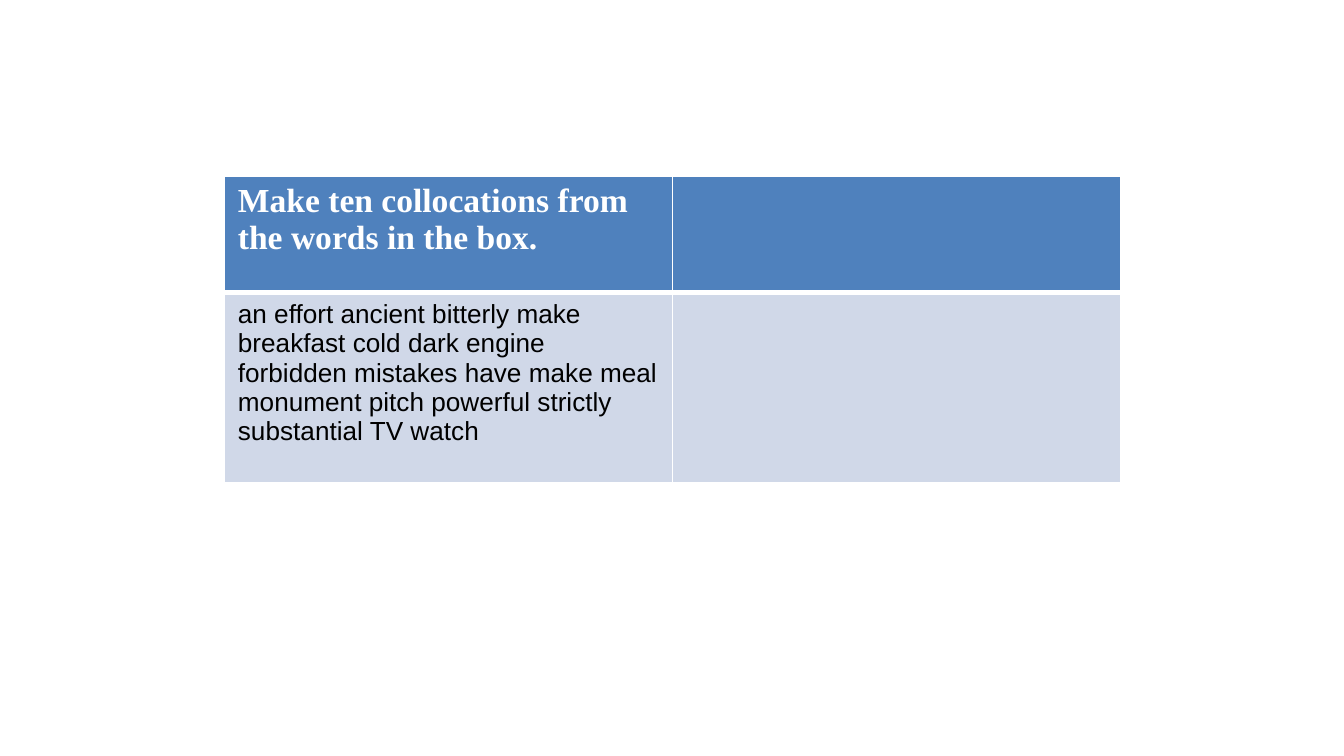
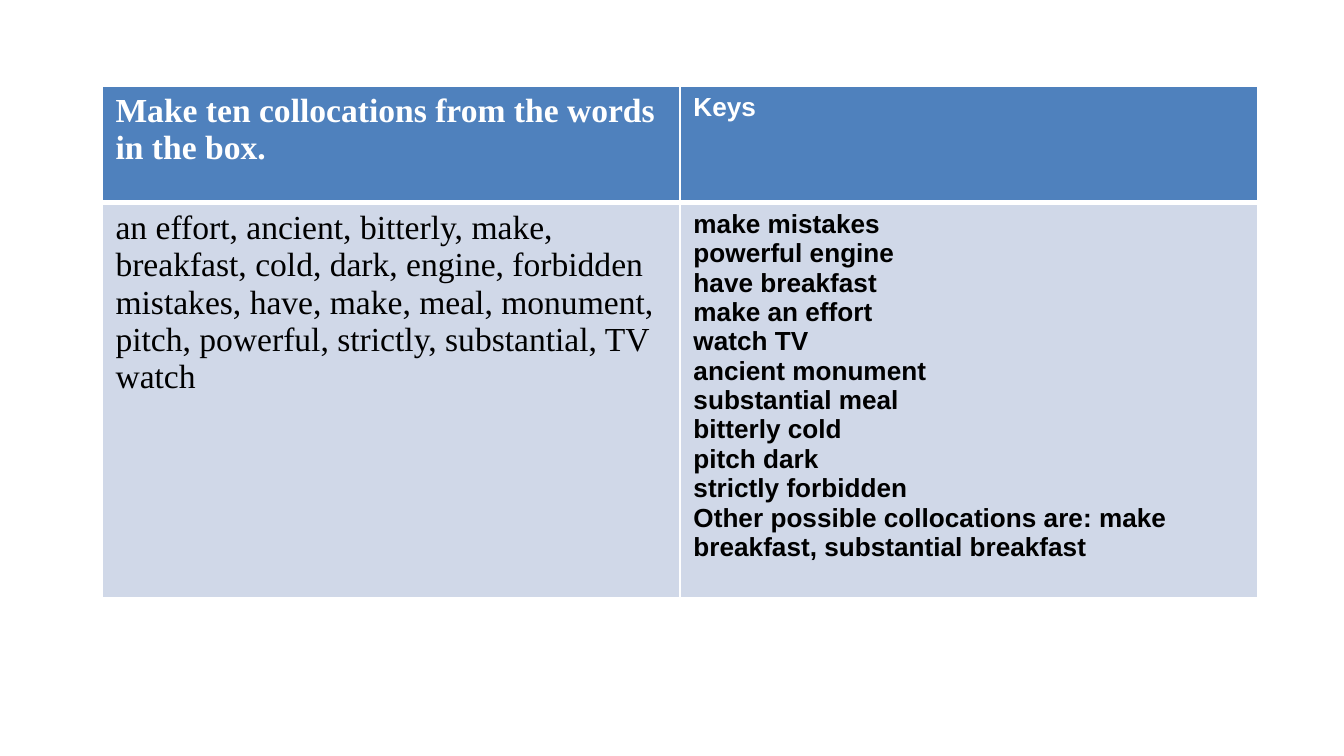
from lxml import etree
from pptx import Presentation
from pptx.dml.color import RGBColor
from pptx.oxml.ns import qn
from pptx.util import Inches, Pt

BLANK_LAYOUT = 6
WHITE, BLACK = "FFFFFF", "000000"
HEADER_FILL, BODY_FILL = "4F81BD", "D0D8E8"
SERIF, SANS = "Times New Roman", "Arial"
THIN, THICK = 1, 3
HEADER_HEIGHT = 0.87

TASK = "Make ten collocations from the words in the box."
WORDS = ("an effort ancient bitterly make breakfast cold dark engine forbidden "
         "mistakes have make meal monument pitch powerful strictly substantial "
         "TV watch")
WORD_LIST = ("an effort, ancient, bitterly, make, breakfast, cold, dark, engine, "
             "forbidden mistakes, have, make, meal, monument, pitch, powerful, "
             "strictly, substantial, TV watch")
KEYS = [
    "make mistakes", "powerful engine", "have breakfast", "make an effort",
    "watch TV", "ancient monument", "substantial meal", "bitterly cold",
    "pitch dark", "strictly forbidden",
    "Other possible collocations are: make breakfast, substantial breakfast",
]


def rgb(color):
    return RGBColor.from_string(color)


def set_borders(cell, top, bottom):
    """White rules on all four sides; the schema wants them before the fill."""
    tcPr = cell._tc.get_or_add_tcPr()
    sides = (("a:lnL", THIN), ("a:lnR", THIN), ("a:lnT", top), ("a:lnB", bottom))
    for i, (tag, width) in enumerate(sides):
        ln = etree.Element(qn(tag), w=str(Pt(width)))
        fill = etree.SubElement(ln, qn("a:solidFill"))
        etree.SubElement(fill, qn("a:srgbClr"), val=WHITE)
        tcPr.insert(i, ln)


def write_cell(cell, lines, size, font, color, bold):
    tf = cell.text_frame
    for i, line in enumerate(lines):
        p = tf.paragraphs[0] if i == 0 else tf.add_paragraph()
        r = p.add_run()
        r.text = line
        r.font.size = Pt(size)
        r.font.name = font
        r.font.bold = bold
        r.font.color.rgb = rgb(color)


def add_exercise_table(s, left, top, width, height, body_height, rows):
    """Each cell is (lines, size, font, bold), or None when it is empty."""
    cols = len(rows[0])
    frame = s.shapes.add_table(len(rows), cols, Inches(left), Inches(top),
                               Inches(width), Inches(height))
    tbl = frame.table
    for col in tbl.columns:
        col.width = Inches(width / cols)
    for i, row in enumerate(rows):
        header = i == 0
        tbl.rows[i].height = Inches(HEADER_HEIGHT if header else body_height)
        for j, content in enumerate(row):
            cell = tbl.cell(i, j)
            cell.fill.solid()
            cell.fill.fore_color.rgb = rgb(HEADER_FILL if header else BODY_FILL)
            set_borders(cell, THIN if header else THICK, THICK if header else THIN)
            if content:
                lines, size, font, bold = content
                write_cell(cell, lines, size, font, WHITE if header else BLACK, bold)
    # Row changes resize the frame, so its height comes last
    frame.height = Inches(height)


def main():
    prs = Presentation()
    prs.slide_width = Inches(10)
    prs.slide_height = prs.slide_width * 9 // 16
    layout = prs.slide_layouts[BLANK_LAYOUT]
    task = ([TASK], 18, SERIF, True)

    # Exercise
    s = prs.slides.add_slide(layout)
    add_exercise_table(s, 1.67, 1.31, 6.67, 2.43, 1.41, [
        [task, None],
        [([WORDS], 14, SANS, False), None],
    ])

    # Exercise with keys
    s = prs.slides.add_slide(layout)
    add_exercise_table(s, 0.76, 0.64, 8.6, 4.07, 2.94, [
        [task, (["Keys"], 14, SANS, True)],
        [([WORD_LIST], 18, SERIF, False), (KEYS, 14, SANS, True)],
    ])

    prs.save("out.pptx")


if __name__ == "__main__":
    main()
